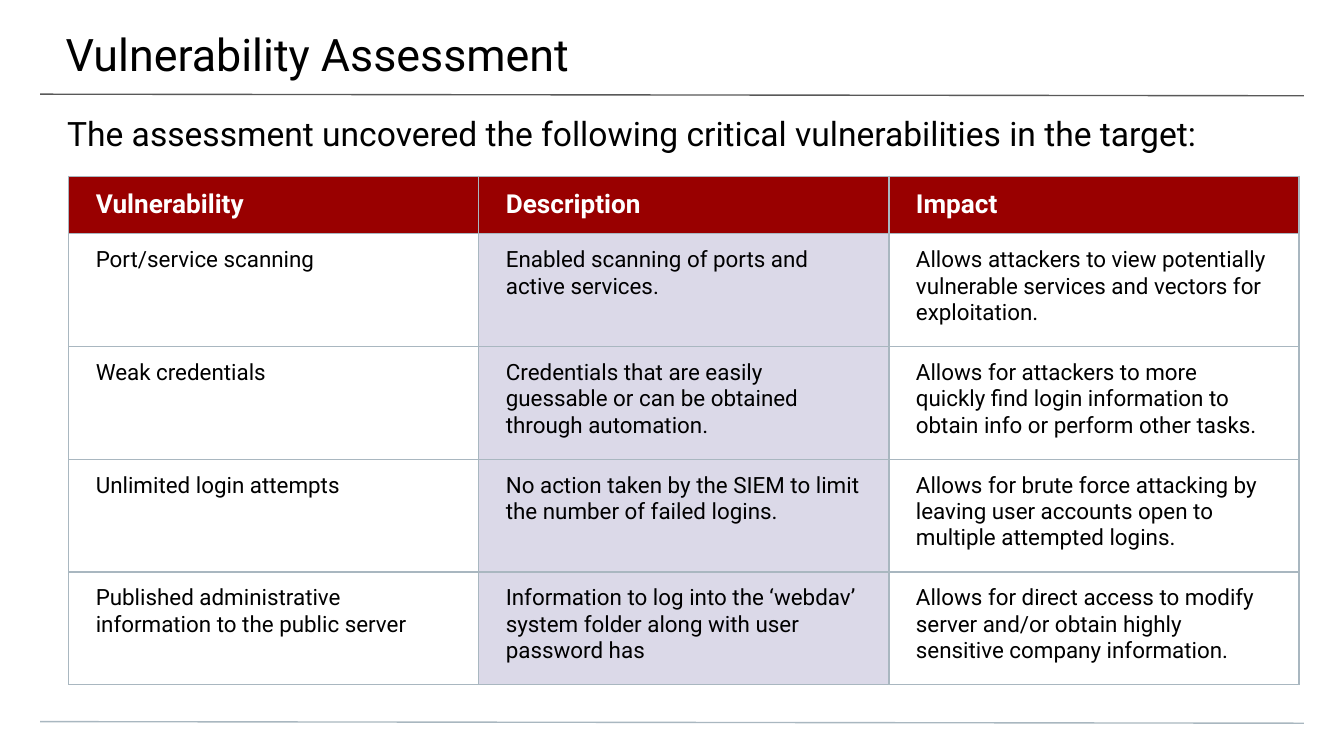
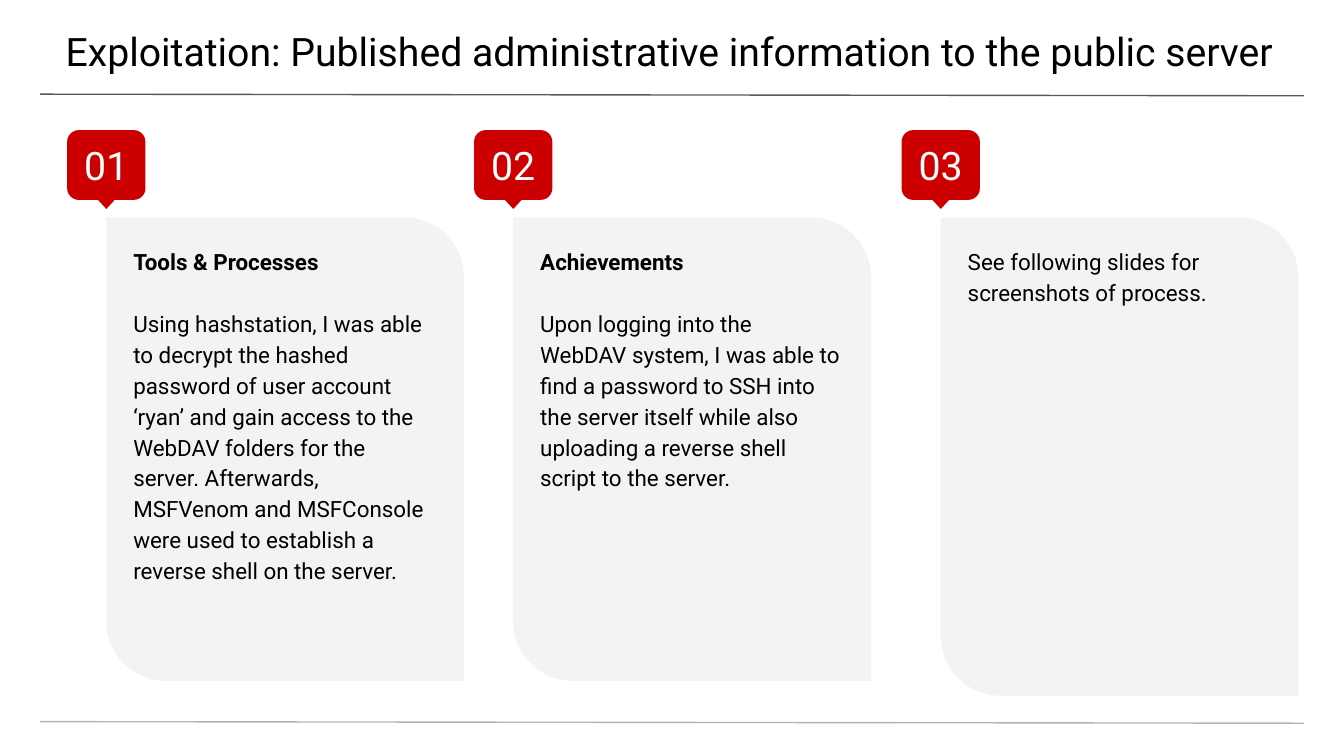
from dataclasses import dataclass

from lxml import etree
from pptx import Presentation
from pptx.dml.color import RGBColor
from pptx.enum.shapes import MSO_CONNECTOR, MSO_SHAPE as SHAPE
from pptx.enum.text import MSO_ANCHOR as ANCHOR, MSO_AUTO_SIZE, PP_ALIGN as ALIGN
from pptx.oxml.ns import qn
from pptx.util import Cm, Pt


@dataclass(frozen=True)
class Theme:
    font: str = "Roboto"
    ink: str = "000000"
    paper: str = "FFFFFF"
    rule: str = "595959"
    grid: str = "A9B7C0"
    header: str = "990000"
    tint: str = "DBD9E8"
    badge: str = "CC0000"
    card: str = "F3F3F3"
    title: int = 24
    long_title: int = 21
    lead: int = 18
    number: int = 21
    head: int = 14
    body: int = 12
    line: float = 0.75


class Deck:
    """Holds the theme and the current slide; lengths are in centimetres."""

    def __init__(self, theme):
        self.t = theme
        self.prs = Presentation()
        self.prs.slide_width, self.prs.slide_height = Cm(25.4), Cm(14.29)
        self.s = None

    # Shared frame: title and two rules
    def slide(self, title, size):
        self.s = self.prs.slides.add_slide(self.prs.slide_layouts[5])
        bg = self.s.background.fill
        bg.solid()
        bg.fore_color.rgb = RGBColor.from_string(self.t.paper)
        self.line(0.76, 1.78, 24.64, 1.81, self.t.rule)
        self.line(0.76, 13.64, 24.64, 13.67, self.t.grid)
        sp = self.s.shapes.title
        sp.left, sp.top, sp.width, sp.height = Cm(-0.03), Cm(0), Cm(25.48), Cm(1.47)
        self.frame(sp.text_frame, (1.27, 0.51, 0.76, 0.25))
        self.run(sp.text_frame.paragraphs[0], title, size)

    def frame(self, tf, insets, anchor=ANCHOR.TOP, wrap=True):
        tf.auto_size = MSO_AUTO_SIZE.NONE
        tf.word_wrap = wrap
        tf.vertical_anchor = anchor
        (tf.margin_left, tf.margin_top,
         tf.margin_right, tf.margin_bottom) = map(Cm, insets)

    def run(self, p, text, size, color=None, bold=False, align=ALIGN.LEFT):
        p.alignment = align
        r = p.add_run()
        r.text = text
        r.font.name, r.font.size, r.font.bold = self.t.font, Pt(size), bold
        r.font.color.rgb = RGBColor.from_string(color or self.t.ink)

    def line(self, x1, y1, x2, y2, color):
        ln = self.s.shapes.add_connector(
            MSO_CONNECTOR.STRAIGHT, Cm(x1), Cm(y1), Cm(x2), Cm(y2))
        ln.line.color.rgb = RGBColor.from_string(color)
        ln.line.width = Pt(self.t.line)
        etree.SubElement(ln._element.spPr, qn("a:effectLst"))

    def shape(self, kind, x, y, w, h, color, parent=None):
        shapes = (parent or self.s).shapes
        sp = shapes.add_shape(kind, Cm(x), Cm(y), Cm(w), Cm(h))
        sp.shadow.inherit = False
        sp.fill.solid()
        sp.fill.fore_color.rgb = RGBColor.from_string(color)
        sp.line.fill.background()
        return sp

    def text(self, x, y, w, h, insets):
        tf = self.s.shapes.add_textbox(Cm(x), Cm(y), Cm(w), Cm(h)).text_frame
        self.frame(tf, insets)
        return tf

    def lead(self, text):
        tf = self.text(0, 1.88, 25.4, 1.02, (1.27, 0.25, 1.27, 0))
        self.run(tf.paragraphs[0], text, self.t.lead)

    # Numbered marker with a pointer below
    def badge(self, x, y, number):
        grp = self.s.shapes.add_group_shape()
        sp = self.shape(SHAPE.ROUNDED_RECTANGLE, x, y, 1.48, 1.32, self.t.badge, grp)
        self.frame(sp.text_frame, (0.25,) * 4, ANCHOR.MIDDLE, wrap=False)
        self.run(sp.text_frame.paragraphs[0], number, self.t.number,
                 self.t.paper, align=ALIGN.CENTER)
        tip = self.shape(SHAPE.FLOWCHART_EXTRACT, x + 0.37, y + 1.09, 0.74, 0.4,
                         self.t.badge, grp)
        tip.rotation = 180

    # Panel with an optional heading and body text
    def card(self, x, y, h, text_w, number, heading, body):
        sp = self.shape(SHAPE.ROUND_2_DIAG_RECTANGLE, x, y, 6.76, h, self.t.card)
        sp.adjustments[0], sp.adjustments[1] = 0, 0.167
        tf = self.text(x, y, text_w, h, (0.51,) * 4)
        p = tf.paragraphs[0]
        p.line_spacing = 1.15
        if heading:
            self.run(p, heading, self.t.body, bold=True)
            p = tf.add_paragraph()
            p.line_spacing, p.space_before = 1.15, Pt(16.5)
        self.run(p, body, self.t.body)
        self.badge(x - 0.74, 2.46, number)

    def cell(self, cell, text, fill, **style):
        tcPr = cell._tc.get_or_add_tcPr()
        for side in ("lnL", "lnR", "lnT", "lnB"):
            ln = etree.SubElement(tcPr, qn("a:" + side), w=str(Pt(self.t.line)))
            solid = etree.SubElement(ln, qn("a:solidFill"))
            etree.SubElement(solid, qn("a:srgbClr"), val=self.t.grid)
        if fill:
            cell.fill.solid()
            cell.fill.fore_color.rgb = RGBColor.from_string(fill)
        else:
            cell.fill.background()
        cell.margin_left = cell.margin_right = Cm(0.51)
        cell.margin_top = cell.margin_bottom = Cm(0.25)
        self.run(cell.text_frame.paragraphs[0], text, **style)

    def table(self, x, y, col_w, head_h, row_h, rows):
        n, m = len(rows), len(rows[0])
        tbl = self.s.shapes.add_table(
            n, m, Cm(x), Cm(y), Cm(col_w * m), Cm(head_h + row_h * (n - 1))).table
        tbl.first_row = tbl.horz_banding = False
        for col in tbl.columns:
            col.width = Cm(col_w)
        for i, row in enumerate(rows):
            tbl.rows[i].height = Cm(row_h if i else head_h)
            for j, text in enumerate(row):
                cell = tbl.cell(i, j)
                if i == 0:
                    cell.vertical_anchor = ANCHOR.MIDDLE
                    self.cell(cell, text, self.t.header, size=self.t.head,
                              color=self.t.paper, bold=True)
                else:
                    cell.vertical_anchor = ANCHOR.TOP
                    self.cell(cell, text, self.t.tint if j == 1 else None,
                              size=self.t.body)


VULNERABILITIES = [
    ("Vulnerability", "Description", "Impact"),
    ("Port/service scanning",
     "Enabled scanning of ports and active services.",
     "Allows attackers to view potentially vulnerable services and vectors "
     "for exploitation."),
    ("Weak credentials",
     "Credentials that are easily guessable or can be obtained through automation.",
     "Allows for attackers to more quickly find login information to obtain info "
     "or perform other tasks."),
    ("Unlimited login attempts",
     "No action taken by the SIEM to limit the number of failed logins.",
     "Allows for brute force attacking by leaving user accounts open to multiple "
     "attempted logins."),
    ("Published administrative information to the public server",
     "Information to log into the ‘webdav’ system folder along with user password has",
     "Allows for direct access to modify server and/or obtain highly sensitive "
     "company information."),
]

# Left edge, height, text width, number, heading, body
STEPS = [
    (2.01, 8.76, 6.58, "01", "Tools & Processes",
     "Using hashstation, I was able to decrypt the hashed password of user account "
     "‘ryan’ and gain access to the WebDAV folders for the server. Afterwards, "
     "MSFVenom and MSFConsole were used to establish a reverse shell on the server."),
    (9.7, 8.76, 6.76, "02", "Achievements",
     "Upon logging into the WebDAV system, I was able to find a password to SSH into "
     "the server itself while also uploading a reverse shell script to the server."),
    (17.78, 9.04, 6.58, "03", None,
     "See following slides for screenshots of process."),
]


def main():
    theme = Theme()
    deck = Deck(theme)

    # Slide 1: vulnerability table
    deck.slide("Vulnerability Assessment", theme.title)
    deck.lead("The assessment uncovered the following critical vulnerabilities "
              "in the target:")
    deck.table(1.3, 3.33, 7.75, 1.09, 2.13, VULNERABILITIES)

    # Slide 2: exploitation steps
    deck.slide("Exploitation: Published administrative information to the public server",
               theme.long_title)
    for x, h, text_w, number, heading, body in STEPS:
        deck.card(x, 4.11, h, text_w, number, heading, body)

    deck.prs.save("out.pptx")


if __name__ == "__main__":
    main()
